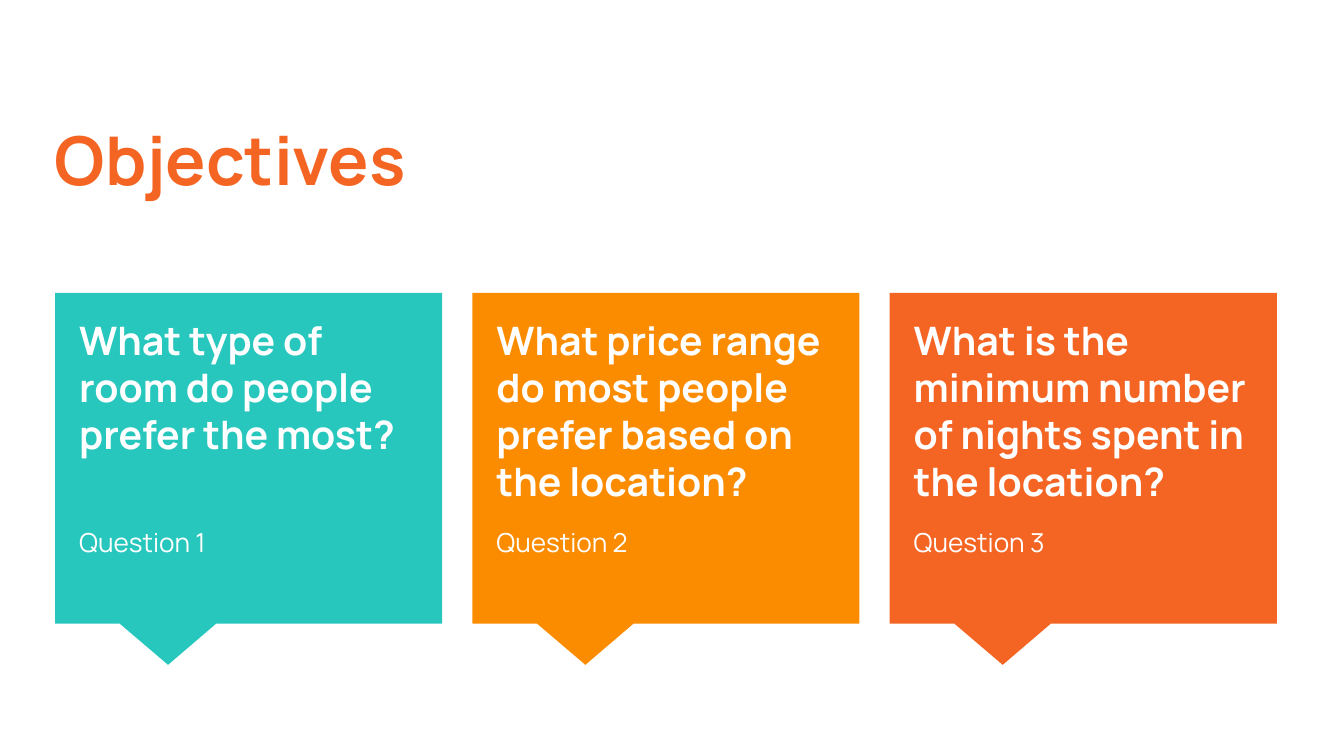
from pptx import Presentation
from pptx.dml.color import RGBColor
from pptx.enum.shapes import MSO_SHAPE
from pptx.enum.text import MSO_ANCHOR, PP_ALIGN
from pptx.util import Inches, Pt

COLORS = {
    "teal": "27C7BD",
    "amber": "FB8C00",
    "orange": "F46524",
    "white": "FFFFFF",
}
FONT = "Manrope"
TITLE_SIZE = 36
QUESTION_SIZE = 21
LABEL_SIZE = 14
LABEL_GAP = 12
QUESTION_LINE = 25.2

CARDS = [
    ("What type of room do people prefer the most?", "Question 1", "teal", 1),
    ("What price range do most people prefer based on the location?", "Question 2", "amber", 0),
    ("What is the minimum number of nights spent in the location?", "Question 3", "orange", 0),
]


def add_text_frame(slide, left, top, width, height):
    text_box = slide.shapes.add_textbox(Inches(left), Inches(top), Inches(width), Inches(height))
    frame = text_box.text_frame
    frame.word_wrap = True
    frame.vertical_anchor = MSO_ANCHOR.TOP
    frame.margin_left = frame.margin_right = Inches(0.1)
    frame.margin_top = frame.margin_bottom = Inches(0.1)
    return frame


def write_paragraph(paragraph, text, *, size, color="white", bold=False, before=0, after=0):
    paragraph.alignment = PP_ALIGN.LEFT
    paragraph.space_before = Pt(before)
    paragraph.space_after = Pt(after)
    run = paragraph.add_run()
    run.text = text
    run.font.name = FONT
    run.font.size = Pt(size)
    run.font.bold = bold
    run.font.color.rgb = RGBColor.from_string(COLORS[color])


def add_title(slide, text, left, top, width, height):
    frame = add_text_frame(slide, left, top, width, height)
    write_paragraph(frame.paragraphs[0], text, size=TITLE_SIZE, color="orange", bold=True, after=16)


def add_question_card(slide, card, left, top, width, height):
    question, label, color, spare_lines = card
    callout = slide.shapes.add_shape(
        MSO_SHAPE.RECTANGULAR_CALLOUT, Inches(left), Inches(top), Inches(width), Inches(height)
    )
    callout.adjustments[0] = -0.208
    callout.adjustments[1] = 0.625
    callout.shadow.inherit = False
    callout.fill.solid()
    callout.fill.fore_color.rgb = RGBColor.from_string(COLORS[color])
    callout.line.fill.background()

    frame = add_text_frame(slide, left + 0.08, top + 0.07, width - 0.17, height - 0.27)
    write_paragraph(frame.paragraphs[0], question, size=QUESTION_SIZE, bold=True)
    write_paragraph(
        frame.add_paragraph(),
        label,
        size=LABEL_SIZE,
        before=LABEL_GAP + spare_lines * QUESTION_LINE,
        after=LABEL_GAP,
    )


def add_card_row(slide, cards, left, top, width, height, card_width):
    pitch = (width - card_width) / (len(cards) - 1)
    for index, card in enumerate(cards):
        add_question_card(slide, card, left + index * pitch, top, card_width, height)


def main():
    presentation = Presentation()
    presentation.slide_width = Inches(10)
    presentation.slide_height = Inches(10 * 9 / 16)
    slide = presentation.slides.add_slide(presentation.slide_layouts[6])
    slide.background.fill.solid()
    slide.background.fill.fore_color.rgb = RGBColor.from_string(COLORS["white"])
    add_title(slide, "Objectives", 0.31, 0.78, 9.43, 1.12)
    add_card_row(slide, CARDS, 0.41, 2.18, 9.09, 2.46, card_width=2.88)
    presentation.save("out.pptx")


if __name__ == "__main__":
    main()
